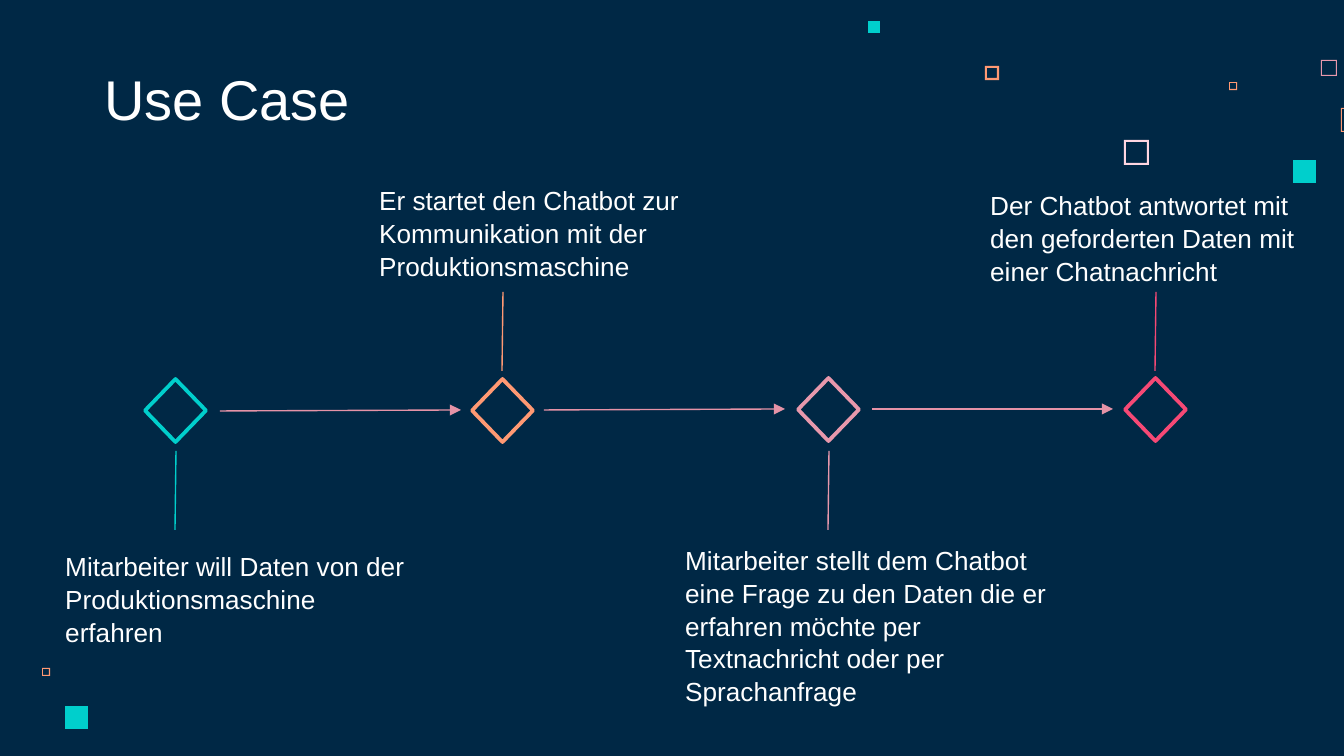
"""Build the "Use Case" chatbot process slide."""
import dataclasses
import typing

import lxml.etree
import pptx
import pptx.dml.color
import pptx.enum.shapes
import pptx.enum.text
import pptx.oxml.ns
import pptx.util

RGB = pptx.dml.color.RGBColor
NAVY = RGB(0x00, 0x28, 0x45)
WHITE = RGB(0xFF, 0xFF, 0xFF)
TEAL = RGB(0x00, 0xCF, 0xCC)
ORANGE = RGB(0xFF, 0x99, 0x73)
PINK = RGB(0xE8, 0x98, 0xAC)
ROSE = RGB(0xE5, 0x93, 0xA7)
RED = RGB(0xF6, 0x49, 0x75)
BLUSH = RGB(0xFF, 0xD6, 0xE1)

SCALE = 914400 / 134.4
FONT = "Arial"
DIAMOND_W, DIAMOND_H = 61, 63
STEM_LENGTH, ARROW_LENGTH = 79, 241


@dataclasses.dataclass(frozen=True)
class Square:
    x: int
    y: int
    size: int
    color: RGB
    border: int = 0


@dataclasses.dataclass(frozen=True)
class Label:
    text: str
    x: int
    y: int
    w: int
    h: int


@dataclasses.dataclass(frozen=True)
class Step:
    x: int
    y: int
    color: RGB
    stem_y: int
    label: Label


@dataclasses.dataclass(frozen=True)
class Arrow:
    x: int
    y: int
    end_y: int


SQUARES = [
    Square(1124, 140, 25, BLUSH, 2),
    Square(1321, 60, 16, PINK, 1),
    Square(1229, 82, 8, ORANGE, 1),
    Square(1341, 108, 24, ORANGE, 1),
    Square(1293, 160, 23, TEAL),
    Square(985, 66, 14, ORANGE, 2),
    Square(868, 21, 12, TEAL),
    Square(42, 668, 8, ORANGE, 1),
    Square(65, 706, 23, TEAL),
]
STEPS = [
    Step(145, 379, TEAL, 451, Label(
        "Mitarbeiter will Daten von der Produktionsmaschine erfahren",
        52, 542, 375, 140)),
    Step(472, 379, ORANGE, 292, Label(
        "Er startet den Chatbot zur Kommunikation mit der Produktionsmaschine",
        366, 176, 356, 140)),
    Step(798, 378, PINK, 451, Label(
        "Mitarbeiter stellt dem Chatbot eine Frage zu den Daten die er erfahren "
        "möchte per Textnachricht oder per Sprachanfrage",
        672, 536, 418, 203)),
    Step(1125, 378, RED, 292, Label(
        "Der Chatbot antwortet mit den geforderten Daten mit einer Chatnachricht",
        977, 181, 356, 140)),
]
ARROWS = [Arrow(220, 411, 410), Arrow(544, 410, 409), Arrow(872, 409, 409)]
TITLE = Label("Use Case", 91, 60, 672, 85)


def px(n: int) -> pptx.util.Emu:
    """Turn whole pixels into EMU."""
    return pptx.util.Emu(round(n * SCALE))


def add_square(s: typing.Any, square: Square) -> None:
    """Draw a solid square, or a hollow one if it has a border."""
    x, y, end = square.x, square.y, square.size
    fb = s.shapes.build_freeform(x, y, scale=SCALE)
    fb.add_line_segments([(x, y + end), (x + end, y + end), (x + end, y)])
    if square.border:
        b = square.border
        left, top, right, bottom = x + b, y + b, x + end - b, y + end - b
        fb.move_to(left, top)
        fb.add_line_segments([(right, top), (right, bottom), (left, bottom)])
    sp = fb.convert_to_shape()
    sp.shadow.inherit = False
    sp.fill.solid()
    sp.fill.fore_color.rgb = square.color
    sp.line.fill.background()


def add_label(s: typing.Any, label: Label, size: int) -> typing.Any:
    """Add a wrapped white text box and return its text frame."""
    sp = s.shapes.add_textbox(px(label.x), px(label.y), px(label.w), px(label.h))
    tf = sp.text_frame
    tf.word_wrap = True
    r = tf.paragraphs[0].add_run()
    r.text = label.text
    r.font.name = FONT
    r.font.size = pptx.util.Pt(size)
    r.font.color.rgb = WHITE
    return tf


def add_title(s: typing.Any) -> None:
    """Add the bottom-anchored slide title."""
    tf = add_label(s, TITLE, 30)
    tf.vertical_anchor = pptx.enum.text.MSO_ANCHOR.BOTTOM
    tf.margin_top = tf.margin_bottom = pptx.util.Inches(0.1)


def add_diamond(s: typing.Any, step: Step) -> None:
    """Draw the outlined diamond of a step."""
    sp = s.shapes.add_shape(
        pptx.enum.shapes.MSO_SHAPE.DIAMOND,
        px(step.x), px(step.y), px(DIAMOND_W), px(DIAMOND_H))
    sp.shadow.inherit = False
    sp.fill.solid()
    sp.fill.fore_color.rgb = NAVY
    sp.line.color.rgb = step.color
    sp.line.width = pptx.util.Pt(2)


def add_line(s: typing.Any, x1: int, y1: int, x2: int, y2: int,
             color: RGB, arrow: bool = False) -> None:
    """Draw a thin line, with an arrowhead at its end on request."""
    sp = s.shapes.add_connector(
        pptx.enum.shapes.MSO_CONNECTOR.STRAIGHT, px(x1), px(y1), px(x2), px(y2))
    sp.line.color.rgb = color
    sp.line.width = pptx.util.Pt(0.75)
    qn = pptx.oxml.ns.qn
    if arrow:
        lxml.etree.SubElement(
            sp.line._get_or_add_ln(), qn("a:tailEnd"), type="triangle")
    lxml.etree.SubElement(sp._element.spPr, qn("a:effectLst"))


def main() -> None:
    """Assemble and save the slide."""
    prs = pptx.Presentation()
    prs.slide_width, prs.slide_height = px(1344), px(756)
    s = prs.slides.add_slide(prs.slide_layouts[6])
    s.background.fill.solid()
    s.background.fill.fore_color.rgb = NAVY
    for square in SQUARES:
        add_square(s, square)
    add_title(s)
    for step in STEPS:
        add_diamond(s, step)
    for arrow in ARROWS:
        add_line(s, arrow.x, arrow.y, arrow.x + ARROW_LENGTH, arrow.end_y, ROSE, True)
    for step in STEPS:
        x = step.x + DIAMOND_W // 2
        add_line(s, x + 1, step.stem_y, x, step.stem_y + STEM_LENGTH, step.color)
    for step in STEPS:
        add_label(s, step.label, 14).paragraphs[0].line_spacing = 1.05
    prs.save("out.pptx")


if __name__ == "__main__":
    main()
